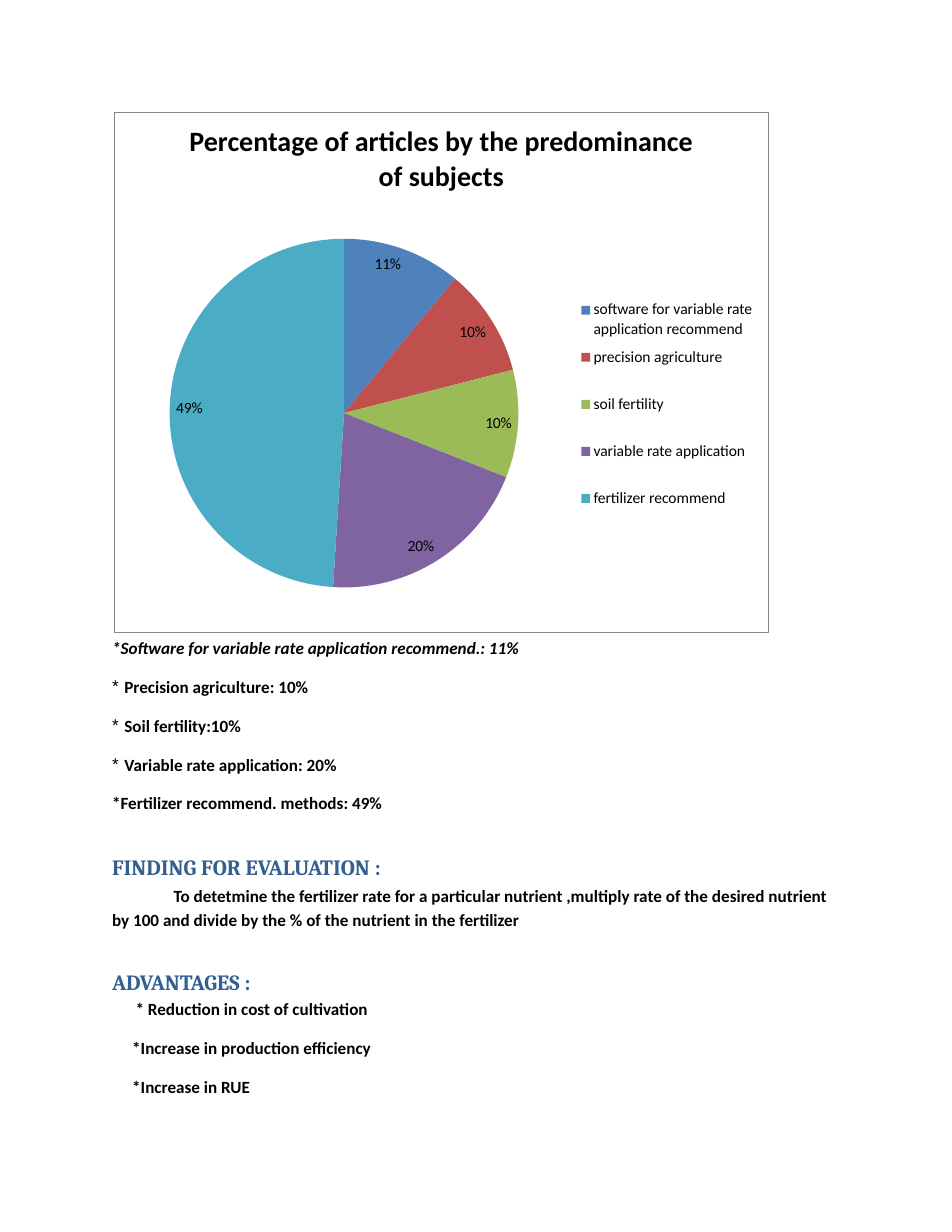
from lxml import etree
from pptx import Presentation
from pptx.chart.data import CategoryChartData
from pptx.dml.color import RGBColor
from pptx.enum.chart import XL_CHART_TYPE as ChartType, XL_LABEL_POSITION as LabelPosition
from pptx.enum.shapes import MSO_SHAPE as Shape
from pptx.enum.text import MSO_ANCHOR as Anchor, MSO_AUTO_SIZE as AutoSize, PP_ALIGN as Align
from pptx.oxml import parse_xml
from pptx.oxml.ns import nsdecls, qn
from pptx.util import Inches, Pt

# Content
TITLE = "Percentage of articles by the predominance of subjects"
SUBJECTS = [
    ("software for variable rate application recommend", 0.11, "4F81BC"),
    ("precision agriculture", 0.10, "C0504D"),
    ("soil fertility", 0.10, "9BBA58"),
    ("variable rate application", 0.20, "8063A1"),
    ("fertilizer recommend", 0.49, "4AACC5"),
]
ITEM = dict(space=11.8)
STARRED = dict(ITEM, left=0.12, first=-0.11, bullet="*")
HEADING = dict(size=14, font="Cambria", color="365F91")
BODY = [
    ("*Software for variable rate application recommend.: 11%", dict(italic=True)),
    ("Precision agriculture: 10%", STARRED),
    ("Soil fertility:10%", STARRED),
    ("Variable rate application: 20%", STARRED),
    ("*Fertilizer recommend. methods: 49%", ITEM),
    ("FINDING FOR EVALUATION :", dict(HEADING, space=26.2)),
    ("To detetmine the fertilizer rate for a particular nutrient ,multiply rate of the desired "
     "nutrient by 100 and divide by the % of the nutrient in the fertilizer",
     dict(first=0.55, space=0.8, line=Pt(15.5))),
    ("ADVANTAGES :", dict(HEADING, space=25.2)),
    ("* Reduction in cost of cultivation", dict(left=0.22, space=2.1)),
    ("*Increase in production efficiency", dict(ITEM, left=0.19)),
    ("*Increase in RUE", dict(ITEM, left=0.19)),
]

# Layout in inches
FRAME = (1.02, 1, 5.85, 4.65)
PIE = (1.51, 2.13, 3.12, 3.12)
LEGEND_LEFT, LEGEND_TOP, LEGEND_STEP, KEY_SIZE = 5.19, 2.73, 0.42, 0.08


def rgb(color):
    return RGBColor.from_string(color)


def place(shape, left, top, width, height):
    shape.left, shape.top = Inches(left), Inches(top)
    shape.width, shape.height = Inches(width), Inches(height)


def clear_frame(shape):
    frame = shape.text_frame
    frame.word_wrap, frame.auto_size = True, AutoSize.NONE
    frame.vertical_anchor = Anchor.TOP
    frame.margin_left = frame.margin_right = frame.margin_top = frame.margin_bottom = 0
    return frame


def write(paragraph, text, size=11, font="Calibri", color="000000", bold=False, italic=False,
          left=0.01, first=0, space=0, line=1.0, bullet=None, align=Align.LEFT):
    properties = paragraph._p.get_or_add_pPr()
    properties.set("marL", str(Inches(left)))
    properties.set("indent", str(Inches(first)))
    mark = etree.SubElement(properties, qn("a:buChar" if bullet else "a:buNone"))
    if bullet:
        mark.set("char", bullet)
    paragraph.alignment, paragraph.line_spacing = align, line
    paragraph.space_before, paragraph.space_after = Pt(space), Pt(0)
    run = paragraph.add_run()
    run.text = text
    run.font.size, run.font.name = Pt(size), font
    run.font.bold, run.font.italic = bold, italic
    run.font.color.rgb = rgb(color)


presentation = Presentation()
presentation.slide_width, presentation.slide_height = Inches(8.5), Inches(11)
slide = presentation.slides.add_slide(presentation.slide_layouts[1])

# Body text
body = slide.placeholders[1]
place(body, 0.99, 5.69, 6.45, 4.14)
body_frame = clear_frame(body)
for index, (text, style) in enumerate(BODY):
    paragraph = body_frame.add_paragraph() if index else body_frame.paragraphs[0]
    write(paragraph, text, bold=True, **style)

# Pie chart with its frame
data = CategoryChartData(number_format="0%")
data.categories = [name for name, _, _ in SUBJECTS]
data.add_series("Articles", [share for _, share, _ in SUBJECTS])
chart = slide.shapes.add_chart(ChartType.PIE, *map(Inches, FRAME), data).chart
chart.has_title = chart.has_legend = False
chart.font.size, chart.font.name = Pt(10), "Calibri"
chart.font.color.rgb = rgb("000000")
plot = chart.plots[0]
plot.vary_by_categories = True
plot.has_data_labels = True
labels = plot.data_labels
labels.show_value, labels.number_format = True, "0%"
labels.number_format_is_linked = False
labels.position = LabelPosition.INSIDE_END
for index, (_, _, color) in enumerate(SUBJECTS):
    fill = plot.series[0].points[index].format.fill
    fill.solid()
    fill.fore_color.rgb = rgb(color)

pie_shares = dict(x=(PIE[0] - FRAME[0]) / FRAME[2], y=(PIE[1] - FRAME[1]) / FRAME[3],
                  w=PIE[2] / FRAME[2], h=PIE[3] / FRAME[3])
modes = '<c:layoutTarget val="inner"/><c:xMode val="edge"/><c:yMode val="edge"/>'
sizes = "".join(f'<c:{key} val="{value:.4f}"/>' for key, value in pie_shares.items())
plot_area = chart._chartSpace.chart.plotArea
for old_layout in plot_area.findall(qn("c:layout")):
    plot_area.remove(old_layout)
plot_area.insert(0, parse_xml(
    f'<c:layout {nsdecls("c")}><c:manualLayout>{modes}{sizes}</c:manualLayout></c:layout>'))
chart._chartSpace.chart.addnext(parse_xml(
    f'<c:spPr {nsdecls("c", "a")}><a:noFill/><a:ln w="{Pt(0.75)}"><a:solidFill>'
    '<a:srgbClr val="858585"/></a:solidFill></a:ln></c:spPr>'))

# Chart title
title = slide.shapes.title
place(title, 1.64, 1.1, 4.6, 0.62)
write(clear_frame(title).paragraphs[0], TITLE, size=18, bold=True, line=1.02, left=0,
      align=Align.CENTER)
slide.shapes._spTree.append(title._element)

# Legend
for index, (name, _, color) in enumerate(SUBJECTS):
    top = LEGEND_TOP + index * LEGEND_STEP
    key = slide.shapes.add_shape(Shape.RECTANGLE, Inches(LEGEND_LEFT), Inches(top),
                                 Inches(KEY_SIZE), Inches(KEY_SIZE))
    key.shadow.inherit = False
    key.fill.solid()
    key.fill.fore_color.rgb = rgb(color)
    key.line.fill.background()
    label = slide.shapes.add_textbox(Inches(LEGEND_LEFT + 0.11), Inches(top - 0.06),
                                     Inches(1.5), Inches(0.19))
    write(clear_frame(label).paragraphs[0], name, size=10, left=0, line=1.02)

presentation.save("out.pptx")
